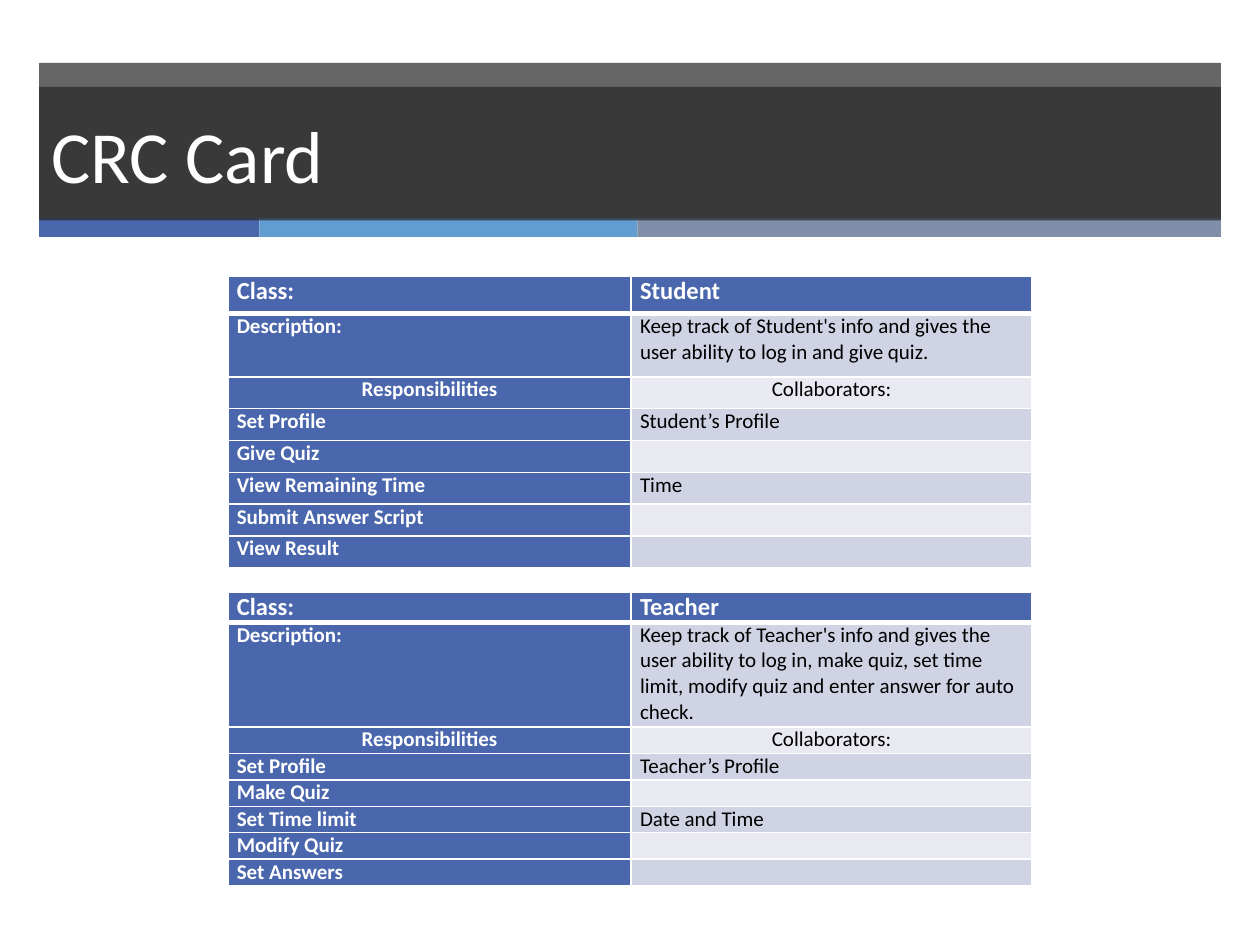
import pptx
import pptx.dml.color
import pptx.enum.shapes
import pptx.enum.text
import pptx.oxml.ns
import pptx.util
from lxml import etree

Inches = pptx.util.Inches
Pt = pptx.util.Pt
RGBColor = pptx.dml.color.RGBColor
qn = pptx.oxml.ns.qn

FONT = "Calibri"
WHITE = RGBColor(0xFF, 0xFF, 0xFF)
BLACK = RGBColor(0, 0, 0)
CHARCOAL = RGBColor(0x26, 0x26, 0x26)
BLUE = RGBColor(0x4A, 0x66, 0xAC)
SKY = RGBColor(0x62, 0x9D, 0xD1)
SLATE = RGBColor(0x7F, 0x8F, 0xA9)
BAND_DARK = RGBColor(0xD0, 0xD3, 0xE3)
BAND_LIGHT = RGBColor(0xE9, 0xEA, 0xF1)

BANNER_LEFT = 0.31
BANNER_WIDTH = 9.38
COLUMN_WIDTHS = (3.2, 3.18)

STUDENT_ROWS = [
    ("Class:", "Student"),
    ("Description:", "Keep track of Student's info and gives the user ability "
                     "to log in and give quiz."),
    ("Responsibilities", "Collaborators:"),
    ("Set Profile", "Student’s Profile"),
    ("Give Quiz", ""),
    ("View Remaining Time", "Time"),
    ("Submit Answer Script", ""),
    ("View Result", ""),
]
TEACHER_ROWS = [
    ("Class:", "Teacher"),
    ("Description:", "Keep track of Teacher's info and gives the user ability "
                     "to log in, make quiz, set time limit, modify quiz and "
                     "enter answer for auto check."),
    ("Responsibilities", "Collaborators:"),
    ("Set Profile", "Teacher’s Profile"),
    ("Make Quiz", ""),
    ("Set Time limit", "Date and Time"),
    ("Modify Quiz", ""),
    ("Set Answers", ""),
]


def format_text(paragraph, size, color, bold=False):
    for run in paragraph.runs:
        run.font.name = FONT
        run.font.size = Pt(size)
        run.font.bold = bold
        run.font.color.rgb = color


def add_bar(slide, left, top, width, height, color, opacity=100):
    bar = slide.shapes.add_shape(
        pptx.enum.shapes.MSO_SHAPE.RECTANGLE,
        Inches(left), Inches(top), Inches(width), Inches(height))
    bar.shadow.inherit = False
    bar.fill.solid()
    bar.fill.fore_color.rgb = color
    bar.line.fill.background()
    if opacity < 100:
        color_element = bar.fill._xPr.find(".//" + qn("a:srgbClr"))
        etree.SubElement(color_element, qn("a:alpha"), val=str(opacity * 1000))
    return bar


def add_title(slide, text):
    title = add_bar(slide, BANNER_LEFT, 0.69, BANNER_WIDTH, 1.06, CHARCOAL, 70)
    text_frame = title.text_frame
    text_frame.text = text
    text_frame.word_wrap = True
    text_frame.vertical_anchor = pptx.enum.text.MSO_ANCHOR.MIDDLE
    paragraph = text_frame.paragraphs[0]
    paragraph.alignment = pptx.enum.text.PP_ALIGN.LEFT
    format_text(paragraph, 42, WHITE)


def set_borders(cell, top, bottom):
    properties = cell._tc.get_or_add_tcPr()
    for side, width in (("L", 1), ("R", 1), ("T", top), ("B", bottom)):
        line = etree.SubElement(properties, qn("a:ln" + side), w=str(Pt(width)))
        fill = etree.SubElement(line, qn("a:solidFill"))
        etree.SubElement(fill, qn("a:srgbClr"), val=str(WHITE))


def fill_cell(cell, text, row, column):
    is_label = row == 0 or column == 0
    size = 14 if row == 0 else 12
    set_borders(cell, top=3 if row == 1 else 1, bottom=3 if row == 0 else 1)
    cell.margin_left = cell.margin_right = Inches(0.07)
    cell.margin_top = cell.margin_bottom = 0
    cell.fill.solid()
    band = BAND_DARK if row % 2 else BAND_LIGHT
    cell.fill.fore_color.rgb = BLUE if is_label else band

    paragraph = cell.text_frame.paragraphs[0]
    if not text:
        # An empty cell needs a small text size to keep its row low
        etree.SubElement(paragraph._p, qn("a:endParaRPr"), sz=str(size * 100))
        return
    paragraph.text = text
    if row == 2:
        paragraph.alignment = pptx.enum.text.PP_ALIGN.CENTER
    format_text(paragraph, size, WHITE if is_label else BLACK, is_label)


def add_crc_card(slide, top, rows, header, description, line):
    heights = [header, description] + [line] * (len(rows) - 2)
    table = slide.shapes.add_table(
        len(rows), 2, Inches(1.81), Inches(top),
        Inches(sum(COLUMN_WIDTHS)), Inches(sum(heights))).table
    for column, width in zip(table.columns, COLUMN_WIDTHS):
        column.width = Inches(width)
    for row, (texts, height) in enumerate(zip(rows, heights)):
        table.rows[row].height = Inches(height)
        for column, text in enumerate(texts):
            fill_cell(table.cell(row, column), text, row, column)


def main():
    presentation = pptx.Presentation()
    presentation.slide_width = Inches(10)
    presentation.slide_height = Inches(7.5)
    slide = presentation.slides.add_slide(presentation.slide_layouts[6])

    # Banner with its coloured strip
    add_bar(slide, BANNER_LEFT, 0.5, BANNER_WIDTH, 1.24, CHARCOAL, 70)
    left = BANNER_LEFT
    for width, color in ((1.75, BLUE), (3, SKY), (4.63, SLATE)):
        add_bar(slide, left, 1.73, width, 0.15, color)
        left += width
    add_title(slide, "CRC Card")

    # One card for each class
    add_crc_card(slide, 2.19, STUDENT_ROWS, 0.3, 0.5, 0.253)
    add_crc_card(slide, 4.7, TEACHER_ROWS, 0.24, 0.83, 0.21)

    presentation.save("out.pptx")


if __name__ == "__main__":
    main()
